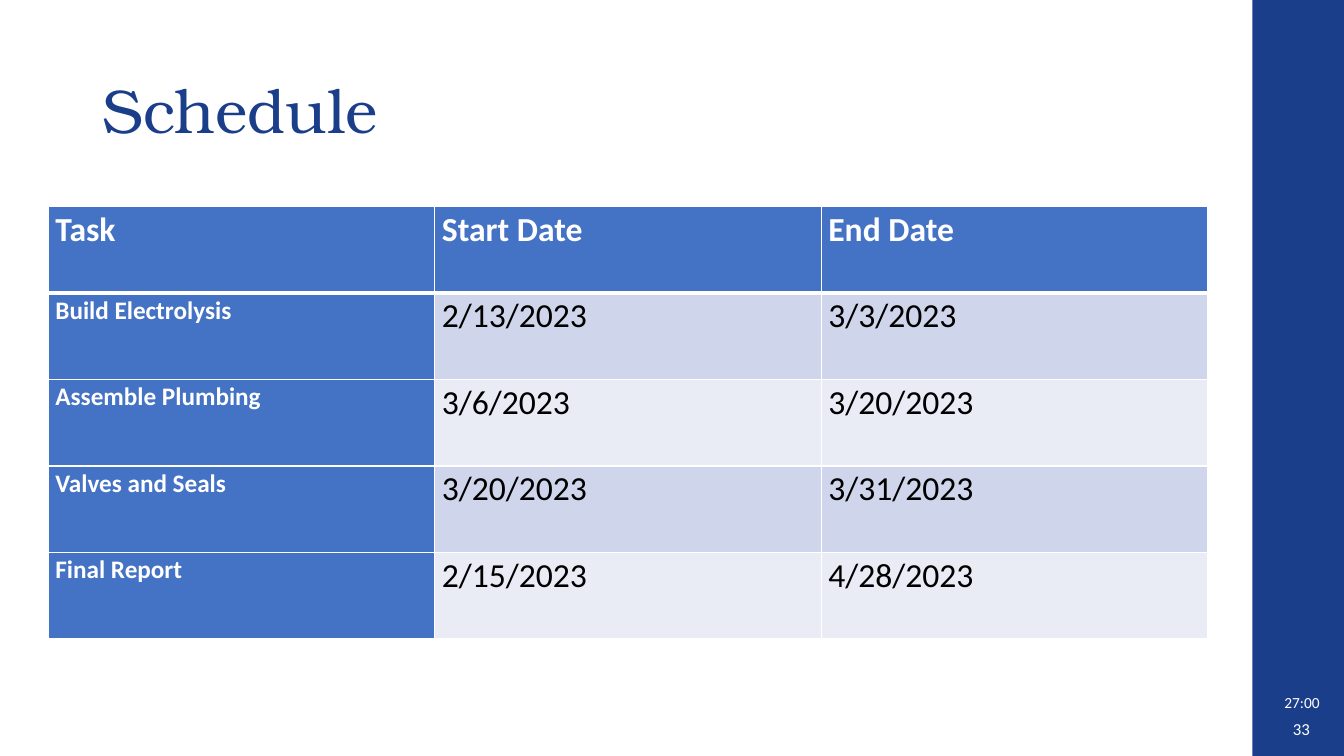
from dataclasses import dataclass

from lxml import etree
from pptx import Presentation
from pptx.dml.color import RGBColor
from pptx.enum import shapes, text
from pptx.oxml.ns import qn
from pptx.util import Inches, Pt


@dataclass(frozen=True)
class Theme:
    navy: str = "1B3E8A"
    blue: str = "4472C4"
    bands: tuple = ("CFD5EA", "E9EBF5")
    white: str = "FFFFFF"
    black: str = "000000"
    title_font: str = "TeX Gyre Bonum"
    body_font: str = "Calibri"
    title_size: int = 44
    cell_size: int = 24
    task_size: int = 18
    number_size: int = 12
    time_size: int = 11


theme = Theme()


def style_text(paragraph, size, color, font=theme.body_font, bold=False):
    for run in paragraph.runs:
        run.font.name = font
        run.font.size = Pt(size)
        run.font.bold = bold
        run.font.color.rgb = RGBColor.from_string(color)


def add_borders(cell, widths):
    """Draw white cell borders; widths maps a line tag to points."""
    properties = cell._tc.get_or_add_tcPr()
    for position, (tag, width) in enumerate(widths.items()):
        line = etree.Element(qn(f"a:{tag}"), w=str(Pt(width)))
        fill = etree.SubElement(line, qn("a:solidFill"))
        etree.SubElement(fill, qn("a:srgbClr"), val=theme.white)
        properties.insert(position, line)


presentation = Presentation()
presentation.slide_width = Inches(13.33)
presentation.slide_height = Inches(7.5)
slide = presentation.slides.add_slide(presentation.slide_layouts[5])

# Side bar
bar = slide.shapes.add_shape(
    shapes.MSO_SHAPE.RECTANGLE, Inches(12.42), 0, Inches(0.92), Inches(7.5)
)
bar.shadow.inherit = False
bar.fill.solid()
bar.fill.fore_color.rgb = RGBColor.from_string(theme.navy)
bar.line.fill.background()

# Title
title = slide.shapes.title
title.left, title.top = Inches(0.92), Inches(0.4)
title.width, title.height = Inches(11.5), Inches(1.45)
title.text_frame.text = "Schedule"
title.text_frame.vertical_anchor = text.MSO_ANCHOR.MIDDLE
heading = title.text_frame.paragraphs[0]
heading.alignment = text.PP_ALIGN.LEFT
heading.line_spacing = 0.9
style_text(heading, theme.title_size, theme.navy, theme.title_font)

# Schedule table
schedule = [
    ("Task", "Start Date", "End Date"),
    ("Build Electrolysis", "2/13/2023", "3/3/2023"),
    ("Assemble Plumbing", "3/6/2023", "3/20/2023"),
    ("Valves and Seals", "3/20/2023", "3/31/2023"),
    ("Final Report", "2/15/2023", "4/28/2023"),
]
table = slide.shapes.add_table(
    len(schedule), len(schedule[0]),
    Inches(0.48), Inches(2.05), Inches(11.5), Inches(4.29),
).table
table.first_col = True
for row, values in enumerate(schedule):
    for column, value in enumerate(values):
        cell = table.cell(row, column)
        is_header = row == 0
        is_heading = is_header or column == 0
        cell.text_frame.text = value
        cell.margin_left = cell.margin_right = Inches(0.07)
        cell.margin_top = cell.margin_bottom = 0
        cell.fill.solid()
        fill = theme.blue if is_heading else theme.bands[(row - 1) % 2]
        cell.fill.fore_color.rgb = RGBColor.from_string(fill)
        add_borders(cell, {
            "lnL": 1,
            "lnR": 1,
            "lnT": 3 if row == 1 else 1,
            "lnB": 3 if is_header else 1,
        })
        paragraph = cell.text_frame.paragraphs[0]
        paragraph.line_spacing = 1.07
        size = theme.task_size if column == 0 and not is_header else theme.cell_size
        color = theme.white if is_heading else theme.black
        style_text(paragraph, size, color, bold=is_heading)

# Time and slide number on the side bar
bar_labels = [
    ("27:00", (12.64, 6.83, 0.57, 0.29), theme.time_size,
     text.PP_ALIGN.LEFT, text.MSO_ANCHOR.TOP),
    ("33", (12.68, 7.03, 0.41, 0.4), theme.number_size,
     text.PP_ALIGN.RIGHT, text.MSO_ANCHOR.MIDDLE),
]
for label, place, size, alignment, anchor in bar_labels:
    box = slide.shapes.add_textbox(*map(Inches, place))
    box.text_frame.text = label
    box.text_frame.word_wrap = True
    box.text_frame.vertical_anchor = anchor
    paragraph = box.text_frame.paragraphs[0]
    paragraph.alignment = alignment
    style_text(paragraph, size, theme.white)

presentation.save("out.pptx")
